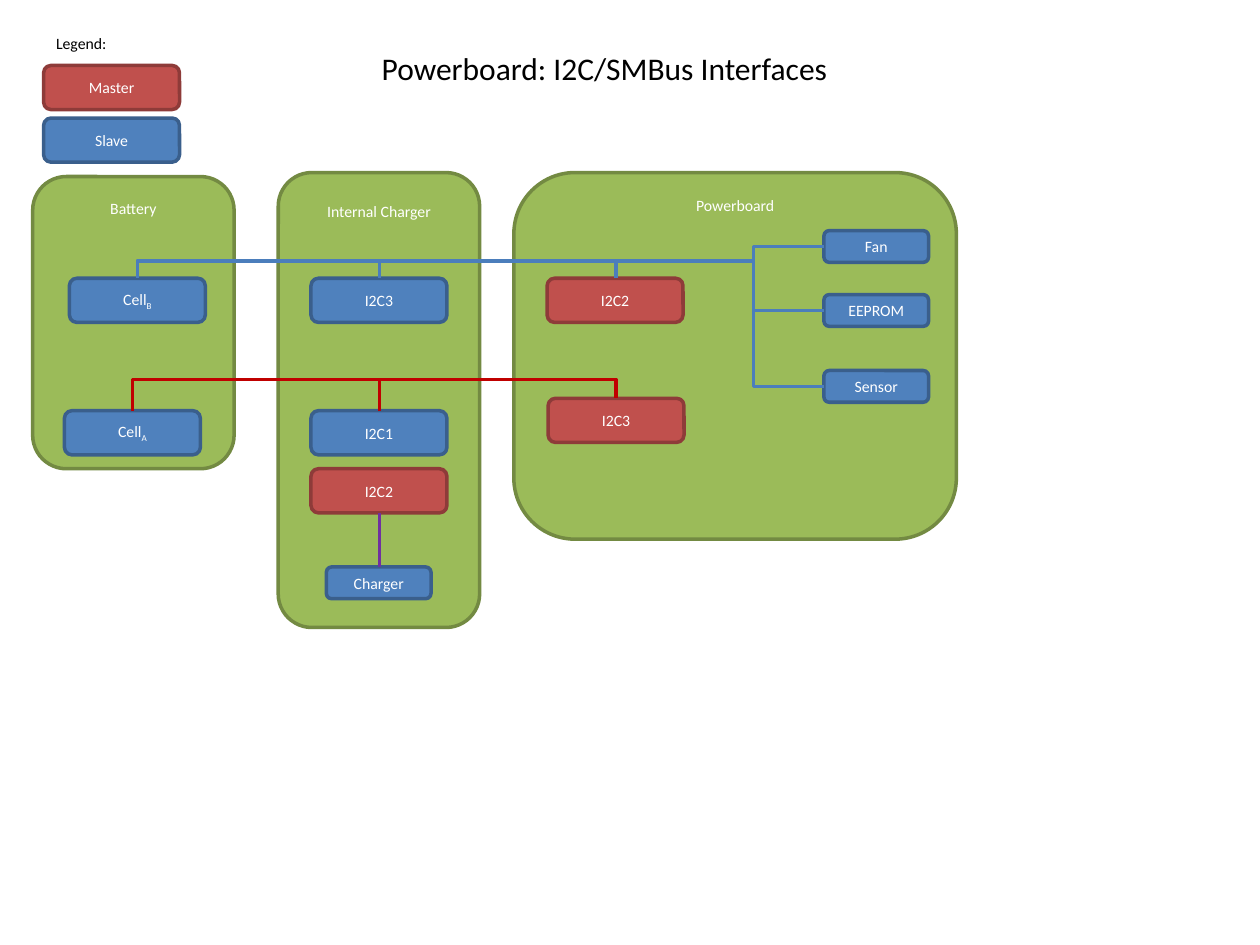
from lxml.etree import SubElement
from pptx import Presentation
from pptx.dml.color import RGBColor
from pptx.enum.shapes import MSO_CONNECTOR as Connector, MSO_SHAPE as Shape
from pptx.enum.text import MSO_ANCHOR as Anchor, MSO_AUTO_SIZE as AutoSize, PP_ALIGN as Align
from pptx.oxml.ns import qn
from pptx.util import Cm, Pt

COLORS = {
    "panel": "9BBB59", "panel_line": "738A42",
    "master": "C0504D", "master_line": "8E3B39",
    "slave": "4F81BD", "slave_line": "3A5F8C",
    "blue_bus": "4B7EBC", "red_bus": "C00000", "purple_bus": "7030A0",
    "white": "FFFFFF", "black": "000000",
}
LARGE = (2.74, 0.89)
SMALL = (2.11, 0.64)

# Horizontal and vertical positions shared by blocks and buses (cm)
CHARGER_X, DEVICE_X = 6.27, 16.61
UPPER_Y, LOWER_Y = 5.61, 8.28
BLUE_Y, RED_Y = 5.26, 7.65
CHARGER_TAP, POWER_TAP, BRANCH_X = 7.65, 12.42, 15.19
DEVICES = [("Fan", 4.65), ("EEPROM", 5.94), ("Sensor", 7.47)]

# Name, left, top, width, height, inset above the name
PANELS = [
    ("Battery", 0.66, 3.56, 4.06, 5.89, 0.25),
    ("Powerboard", 10.36, 3.48, 8.92, 7.39, 0.1),
    ("Internal Charger", 5.61, 3.48, 4.06, 9.17, 0.38),
]

# Name, subscript, role, left, top, size
BLOCKS = [
    ("Master", "", "master", 0.88, 1.32, LARGE),
    ("Slave", "", "slave", 0.88, 2.38, LARGE),
    ("Cell", "B", "slave", 1.4, UPPER_Y, LARGE),
    ("Cell", "A", "slave", 1.3, LOWER_Y, LARGE),
    ("I2C3", "", "slave", CHARGER_X, UPPER_Y, LARGE),
    ("I2C1", "", "slave", CHARGER_X, LOWER_Y, LARGE),
    ("I2C2", "", "master", CHARGER_X, 9.45, LARGE),
    ("Charger", "", "slave", 6.58, 11.43, SMALL),
    ("I2C2", "", "master", 11.03, UPPER_Y, LARGE),
    ("I2C3", "", "master", 11.05, 8.03, LARGE),
] + [(name, "", "slave", DEVICE_X, top, SMALL) for name, top in DEVICES]


def rgb(name):
    return RGBColor.from_string(COLORS[name])


def write(frame, text, size=9, color="white", align=Align.CENTER, subscript=""):
    paragraph = frame.paragraphs[0]
    paragraph.alignment = align
    for part in filter(None, (text, subscript)):
        run = paragraph.add_run()
        run.text = part
        run.font.name = "Calibri"
        run.font.size = Pt(size)
        run.font.color.rgb = rgb(color)
    if subscript:
        run.font._element.set("baseline", "-25000")


def add_box(slide, left, top, width, height, role):
    shape = slide.shapes.add_shape(
        Shape.ROUNDED_RECTANGLE, Cm(left), Cm(top), Cm(width), Cm(height))
    shape.shadow.inherit = False
    shape.fill.solid()
    shape.fill.fore_color.rgb = rgb(role)
    shape.line.color.rgb = rgb(role + "_line")
    shape.line.width = Pt(2)
    return shape


def add_panel(slide, name, left, top, width, height, inset):
    frame = add_box(slide, left, top, width, height, "panel").text_frame
    frame.vertical_anchor = Anchor.TOP
    frame.margin_top = Cm(inset)
    write(frame, name)


def add_block(slide, name, subscript, role, left, top, size):
    frame = add_box(slide, left, top, *size, role).text_frame
    frame.vertical_anchor = Anchor.MIDDLE
    write(frame, name, subscript=subscript)


def add_wire(slide, start, end, color, bent=False):
    """Draw a wire; a bent one runs horizontally first, then vertically."""
    kind = Connector.ELBOW if bent else Connector.STRAIGHT
    wire = slide.shapes.add_connector(kind, *map(Cm, start + end))
    wire.line.color.rgb = rgb(color)
    wire.line.width = Pt(2)
    properties = wire.element.spPr
    if bent:
        properties.find(qn("a:prstGeom")).set("prst", "bentConnector2")
    SubElement(properties, qn("a:effectLst"))


def add_label(shape, text, size):
    frame = shape.text_frame
    frame.word_wrap = False
    frame.auto_size = AutoSize.SHAPE_TO_FIT_TEXT
    frame.vertical_anchor = Anchor.TOP
    write(frame, text, size=size, color="black", align=Align.LEFT)


def add_buses(slide):
    # Blue bus: trunk, taps and branches to the devices
    add_wire(slide, (3.0, BLUE_Y), (BRANCH_X, BLUE_Y), "blue_bus")
    add_wire(slide, (3.2, BLUE_Y), (2.77, UPPER_Y), "blue_bus", bent=True)
    for tap in (CHARGER_TAP, POWER_TAP):
        add_wire(slide, (tap, UPPER_Y), (tap, BLUE_Y), "blue_bus")
    fan, eeprom, sensor = [top + SMALL[1] / 2 for _, top in DEVICES]
    add_wire(slide, (DEVICE_X, fan), (BRANCH_X, BLUE_Y), "blue_bus", bent=True)
    add_wire(slide, (BRANCH_X, eeprom), (DEVICE_X, eeprom), "blue_bus")
    add_wire(slide, (DEVICE_X, sensor), (BRANCH_X, fan), "blue_bus", bent=True)

    # Red bus: trunk with a drop at each end and one in the middle
    add_wire(slide, (3.4, RED_Y), (POWER_TAP, RED_Y), "red_bus")
    add_wire(slide, (3.45, RED_Y), (2.67, LOWER_Y), "red_bus", bent=True)
    add_wire(slide, (11.89, RED_Y), (POWER_TAP, 8.03), "red_bus", bent=True)
    add_wire(slide, (CHARGER_TAP, LOWER_Y), (CHARGER_TAP, RED_Y), "red_bus")

    # Purple link inside the charger
    add_wire(slide, (CHARGER_TAP, 10.34), (CHARGER_TAP, 11.43), "purple_bus")


def main():
    presentation = Presentation()
    presentation.slide_width, presentation.slide_height = Cm(25.4), Cm(19.05)
    slide = presentation.slides.add_slide(presentation.slide_layouts[5])

    # Title and legend heading
    title = slide.shapes.title
    title.left, title.top, title.width, title.height = map(Cm, (7.44, 0.86, 9.6, 1.02))
    add_label(title, "Powerboard: I2C/SMBus Interfaces", 18)
    legend = slide.shapes.add_textbox(Cm(0.88), Cm(0.56), Cm(1.55), Cm(0.64))
    add_label(legend, "Legend:", 9)

    # Boards, their interfaces and the wiring
    for panel in PANELS:
        add_panel(slide, *panel)
    for block in BLOCKS:
        add_block(slide, *block)
    add_buses(slide)
    presentation.save("out.pptx")


main()
